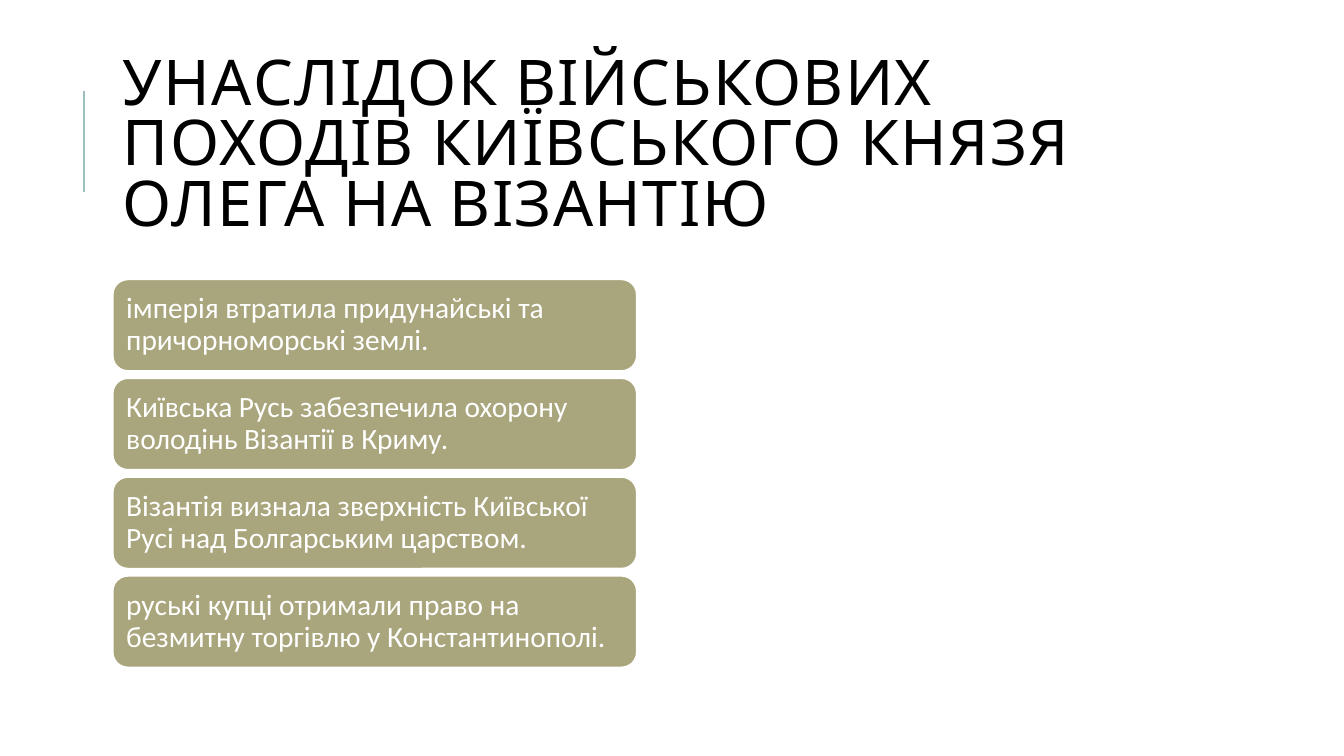
"""Builds a slide on the results of Prince Oleh's campaigns against Byzantium."""
import pptx
import pptx.dml.color
import pptx.enum.shapes
import pptx.enum.text
import pptx.oxml.ns
import pptx.util
from lxml import etree

TITLE = "УНАСЛІДОК ВІЙСЬКОВИХ ПОХОДІВ КИЇВСЬКОГО КНЯЗЯ ОЛЕГА НА ВІЗАНТІЮ"
RESULTS = [
    "імперія втратила придунайські та причорноморські землі.",
    "Київська Русь забезпечила охорону володінь Візантії в Криму.",
    "Візантія визнала зверхність Київської Русі над Болгарським царством.",
    "руські купці отримали право на безмитну торгівлю у Константинополі.",
]
COLOURS = {"title": "000000", "card": "A9A57C", "card_text": "FFFFFF", "accent": "9CBEBD"}

Cm = pptx.util.Cm
Pt = pptx.util.Pt
LEFT = Cm(2.84)
CARD_TOP, CARD_WIDTH, CARD_HEIGHT = Cm(7.04), Cm(13.21), Cm(2.31)
CARD_PITCH = Cm(2.49)
CARD_INSET = Cm(0.23)


def colour(name):
    return pptx.dml.color.RGBColor.from_string(COLOURS[name])


def format_text(shape, font_name, size, colour_name, line_spacing):
    frame = shape.text_frame
    frame.word_wrap = True
    frame.auto_size = pptx.enum.text.MSO_AUTO_SIZE.NONE
    frame.vertical_anchor = pptx.enum.text.MSO_ANCHOR.MIDDLE
    paragraph = frame.paragraphs[0]
    paragraph.alignment = pptx.enum.text.PP_ALIGN.LEFT
    paragraph.line_spacing = line_spacing
    paragraph.font.name = font_name
    paragraph.font.size = Pt(size)
    paragraph.font.color.rgb = colour(colour_name)


def add_accent_line(slide):
    line = slide.shapes.add_connector(
        pptx.enum.shapes.MSO_CONNECTOR.STRAIGHT, Cm(2.11), Cm(4.83), Cm(2.11), Cm(2.29))
    line.line.color.rgb = colour("accent")
    line.line.width = Pt(1.5)
    etree.SubElement(line._element.spPr, pptx.oxml.ns.qn("a:effectLst"))


def set_title(slide):
    title = slide.shapes.title
    title.left, title.top, title.width, title.height = LEFT, Cm(1.63), Cm(27), Cm(4.17)
    title.text_frame.text = TITLE
    format_text(title, "League Spartan", 45, "title", 0.8)
    run = title.text_frame.paragraphs[0].runs[0]
    run._r.get_or_add_rPr().set("spc", "100")


def add_card(slide, index, text):
    card = slide.shapes.add_shape(
        pptx.enum.shapes.MSO_SHAPE.ROUNDED_RECTANGLE,
        LEFT, CARD_TOP + index * CARD_PITCH, CARD_WIDTH, CARD_HEIGHT)
    card.shadow.inherit = False
    card.fill.solid()
    card.fill.fore_color.rgb = colour("card")
    card.line.color.rgb = colour("card_text")
    card.line.width = Pt(1.25)
    frame = card.text_frame
    frame.text = text
    frame.margin_left = frame.margin_right = CARD_INSET
    frame.margin_top = frame.margin_bottom = CARD_INSET
    format_text(card, "Calibri", 21, "card_text", 0.9)


def main():
    presentation = pptx.Presentation()
    presentation.slide_width = Cm(33.87)
    presentation.slide_height = Cm(19.05)
    slide = presentation.slides.add_slide(presentation.slide_layouts.get_by_name("Title Only"))
    add_accent_line(slide)
    set_title(slide)
    for index, text in enumerate(RESULTS):
        add_card(slide, index, text)
    presentation.save("out.pptx")


if __name__ == "__main__":
    main()
